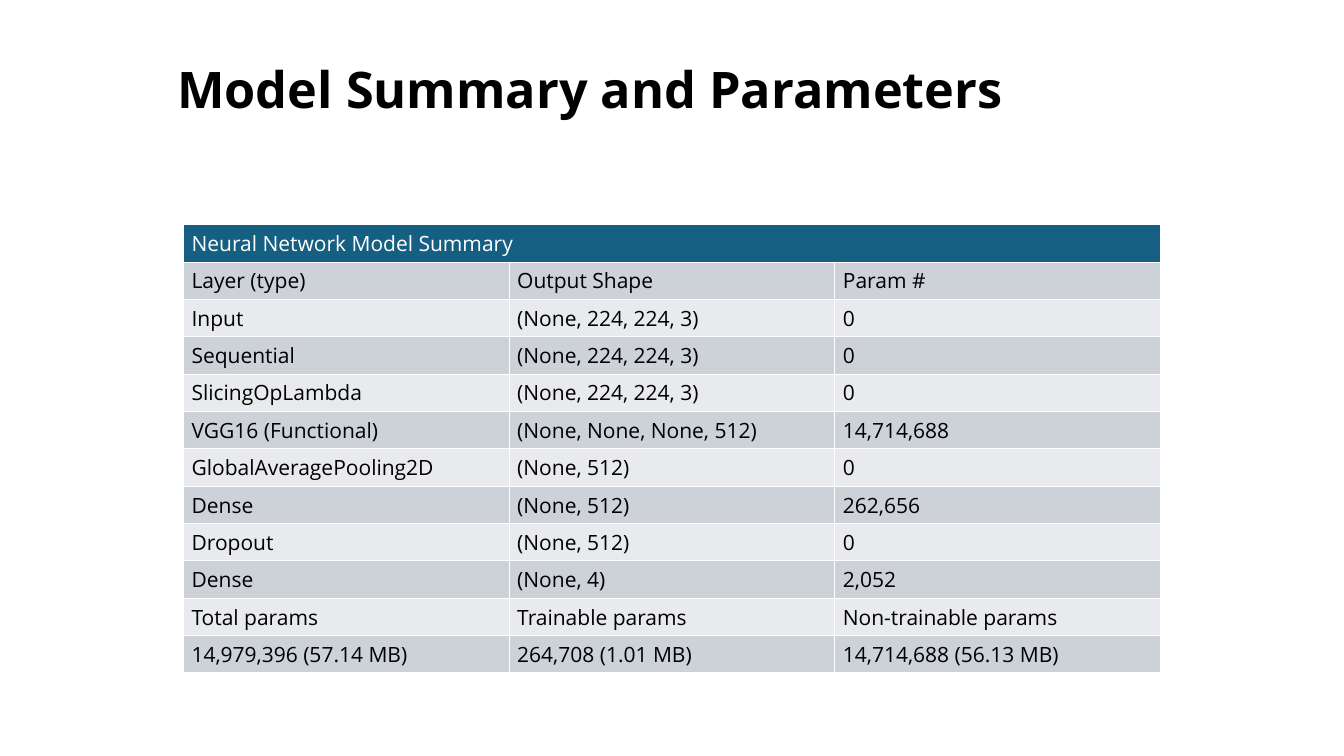
from pptx import Presentation
from pptx.dml.color import RGBColor
from pptx.enum.text import MSO_ANCHOR
from pptx.util import Inches, Pt

HUES = {"ink": "000000", "white": "FFFFFF", "head": "156082",
        "dark": "CCD2D8", "light": "E8EAED"}

LAYERS = [
    ("Layer (type)", "Output Shape", "Param #"),
    ("Input", "(None, 224, 224, 3)", "0"),
    ("Sequential", "(None, 224, 224, 3)", "0"),
    ("SlicingOpLambda", "(None, 224, 224, 3)", "0"),
    ("VGG16 (Functional)", "(None, None, None, 512)", "14,714,688"),
    ("GlobalAveragePooling2D", "(None, 512)", "0"),
    ("Dense", "(None, 512)", "262,656"),
    ("Dropout", "(None, 512)", "0"),
    ("Dense", "(None, 4)", "2,052"),
    ("Total params", "Trainable params", "Non-trainable params"),
    ("14,979,396 (57.14 MB)", "264,708 (1.01 MB)", "14,714,688 (56.13 MB)"),
]


class Deck:
    font = "Open Sans"

    def __init__(self):
        self.prs = Presentation()
        self.prs.slide_width = Inches(13.33)
        self.prs.slide_height = Inches(7.5)
        self.slide = self.prs.slides.add_slide(self.prs.slide_layouts[6])

    def hue(self, name):
        return RGBColor.from_string(HUES[name])

    def label(self, frame, text, size, hue, bold=False):
        frame.text = text
        font = frame.paragraphs[0].runs[0].font
        font.name, font.size, font.bold = self.font, Pt(size), bold
        font.color.rgb = self.hue(hue)

    def title(self, text, left, top, width, height):
        box = self.slide.shapes.add_textbox(
            Inches(left), Inches(top), Inches(width), Inches(height))
        frame = box.text_frame
        frame.word_wrap = True
        frame.vertical_anchor = MSO_ANCHOR.TOP
        self.label(frame, text, 36, "ink", True)
        frame.paragraphs[0].line_spacing = 0.9

    def cell(self, cell, text, ink, fill):
        cell.fill.solid()
        cell.fill.fore_color.rgb = self.hue(fill)
        cell.vertical_anchor = MSO_ANCHOR.MIDDLE
        cell.margin_left = cell.margin_right = Inches(0.08)
        cell.margin_top = cell.margin_bottom = Inches(0.04)
        if text:
            self.label(cell.text_frame, text, 15, ink)

    def table(self, head, rows, left, top, width, height):
        """Draw banded rows under one heading that spans all columns."""
        cols = len(rows[0])
        grid = self.slide.shapes.add_table(
            len(rows) + 1, cols, Inches(left), Inches(top),
            Inches(width), Inches(height)).table
        for col in range(cols):
            self.cell(grid.cell(0, col), "" if col else head, "white", "head")
        grid.cell(0, 0).merge(grid.cell(0, cols - 1))
        for num, row in enumerate(rows, 1):
            band = "dark" if num % 2 else "light"
            for col, text in enumerate(row):
                self.cell(grid.cell(num, col), text, "ink", band)


def main():
    deck = Deck()
    deck.title("Model Summary and Parameters", 1.66, 0.6, 10.02, 1.24)
    deck.table("Neural Network Model Summary", LAYERS, 1.82, 2.23, 9.69, 4.45)
    deck.prs.save("out.pptx")


if __name__ == "__main__":
    main()
